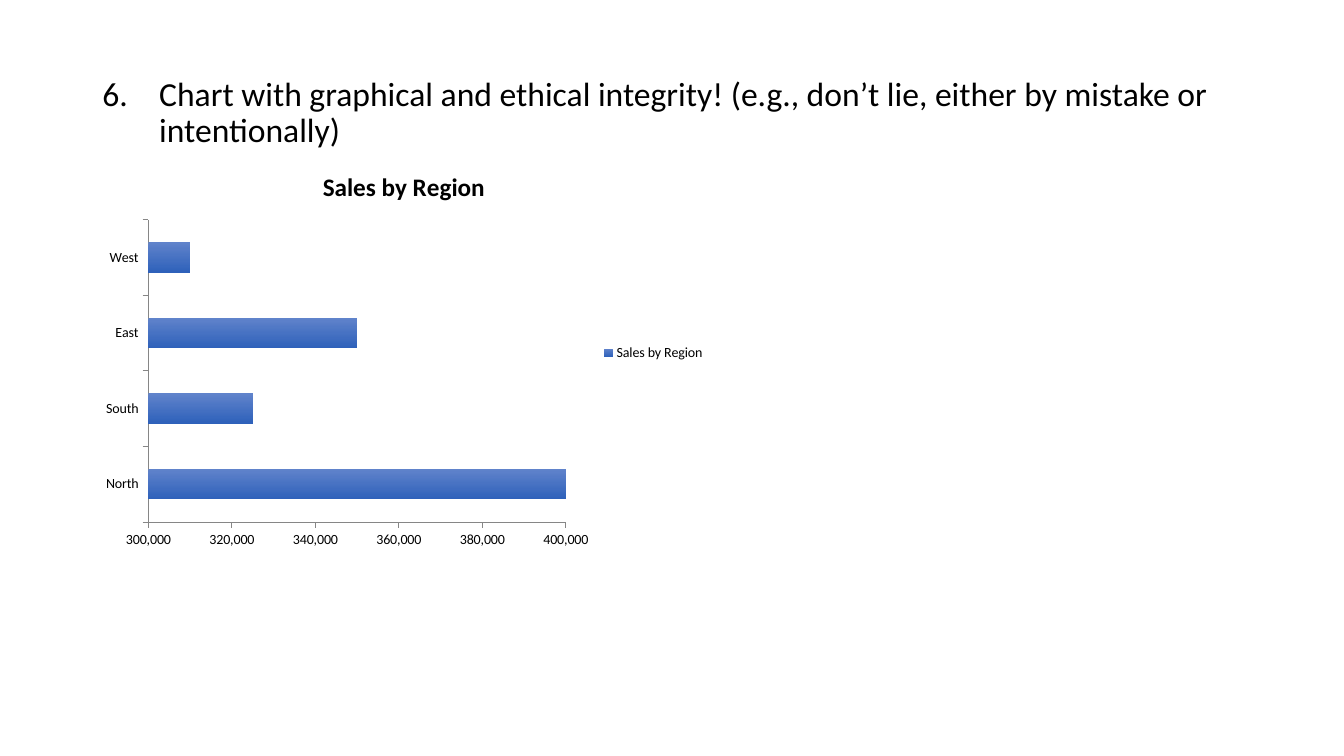
from dataclasses import dataclass

from lxml.etree import SubElement
from pptx import Presentation
from pptx.chart.chart import Chart
from pptx.chart.data import CategoryChartData
from pptx.dml.color import RGBColor
from pptx.enum.chart import XL_CHART_TYPE as ChartType
from pptx.enum.chart import XL_LEGEND_POSITION as LegendPos
from pptx.enum.chart import XL_TICK_MARK as Tick
from pptx.enum.text import MSO_ANCHOR as Anchor
from pptx.enum.text import PP_ALIGN as Align
from pptx.oxml.ns import qn
from pptx.util import Pt


@dataclass(frozen=True)
class Theme:
    font: str = "Calibri"
    text: RGBColor = RGBColor(0x00, 0x00, 0x00)
    axis: RGBColor = RGBColor(0x86, 0x86, 0x86)
    bar_top: RGBColor = RGBColor(0x60, 0x83, 0xCB)
    bar_bottom: RGBColor = RGBColor(0x2E, 0x61, 0xBA)
    heading_size: float = 24
    chart_title_size: float = 18
    label_size: float = 10


@dataclass(frozen=True)
class Box:
    left: float
    top: float
    width: float
    height: float

    def lengths(self) -> tuple[Pt, Pt, Pt, Pt]:
        return Pt(self.left), Pt(self.top), Pt(self.width), Pt(self.height)


@dataclass(frozen=True)
class Sale:
    region: str
    amount: int


THEME = Theme()
HEADING_BOX = Box(66, 28.75, 828, 104.4)
CHART_BOX = Box(66, 108, 445, 288)
PLOT_SHARE = Box(0.09, 0.17, 0.67, 0.75)  # fractions of the chart area
HEADING = ("Chart with graphical and ethical integrity! "
           "(e.g., don’t lie, either by mistake or intentionally)")
HEADING_NUMBER = 6
CHART_TITLE = "Sales by Region"
SALES = [Sale("North", 400000), Sale("South", 325000),
         Sale("East", 350000), Sale("West", 310000)]


def style_font(font, size: float, bold: bool = False) -> None:
    font.name = THEME.font
    font.size = Pt(size)
    font.bold = bold
    font.color.rgb = THEME.text


def add_heading(s) -> None:
    title = s.shapes.title
    title.left, title.top, title.width, title.height = HEADING_BOX.lengths()
    tf = title.text_frame
    tf.text = HEADING
    tf.word_wrap = True
    tf.vertical_anchor = Anchor.MIDDLE
    p = tf.paragraphs[0]
    # Numbered paragraph with a hanging indent
    pPr = p._p.get_or_add_pPr()
    pPr.set("marL", str(Pt(40.5)))
    pPr.set("indent", str(Pt(-40.5)))
    SubElement(pPr, qn("a:buFont"), typeface=THEME.font)
    SubElement(pPr, qn("a:buAutoNum"), type="arabicPeriod",
               startAt=str(HEADING_NUMBER))
    p.alignment = Align.LEFT
    p.line_spacing = 0.9
    style_font(p.runs[0].font, THEME.heading_size)


def place_plot(chart: Chart, share: Box) -> None:
    plot_area = chart._chartSpace.chart.plotArea
    layout = plot_area.find(qn("c:layout"))
    if layout is None:
        layout = SubElement(plot_area, qn("c:layout"))
        plot_area.insert(0, layout)
    manual = SubElement(layout, qn("c:manualLayout"))
    for tag, val in (("layoutTarget", "inner"), ("xMode", "edge"),
                     ("yMode", "edge"), ("x", share.left), ("y", share.top),
                     ("w", share.width), ("h", share.height)):
        SubElement(manual, qn(f"c:{tag}"), val=str(val))


def style_axes(chart: Chart) -> None:
    for axis in (chart.category_axis, chart.value_axis):
        axis.has_major_gridlines = False
        axis.major_tick_mark = Tick.OUTSIDE
        axis.minor_tick_mark = Tick.NONE
        axis.format.line.color.rgb = THEME.axis
        axis.format.line.width = Pt(0.75)
        style_font(axis.tick_labels.font, THEME.label_size)
    values = chart.value_axis
    values.minimum_scale, values.maximum_scale = 300000, 400000
    values.major_unit = 20000
    values.tick_labels.number_format = "#,##0"
    values.tick_labels.number_format_is_linked = False


def add_sales_chart(s) -> None:
    data = CategoryChartData(number_format="#,##0")
    data.categories = [sale.region for sale in SALES]
    data.add_series(CHART_TITLE, [sale.amount for sale in SALES])
    chart = s.shapes.add_chart(ChartType.BAR_CLUSTERED,
                               *CHART_BOX.lengths(), data).chart
    style_font(chart.font, THEME.label_size)

    # Title and legend
    chart.has_title = True
    tf = chart.chart_title.text_frame
    tf.text = CHART_TITLE
    style_font(tf.paragraphs[0].runs[0].font, THEME.chart_title_size, bold=True)
    chart.chart_title.include_in_layout = False
    chart.has_legend = True
    chart.legend.position = LegendPos.RIGHT
    chart.legend.include_in_layout = False
    style_font(chart.legend.font, THEME.label_size)

    # Bars shaded from top to bottom
    plot = chart.plots[0]
    plot.gap_width = 150
    plot.vary_by_categories = False
    fill = plot.series[0].format.fill
    fill.gradient()
    fill.gradient_angle = 270
    for stop, color in zip(fill.gradient_stops,
                           (THEME.bar_top, THEME.bar_bottom)):
        stop.color.rgb = color

    style_axes(chart)
    place_plot(chart, PLOT_SHARE)


def main() -> None:
    prs = Presentation()
    prs.slide_width, prs.slide_height = Pt(960), Pt(540)
    s = prs.slides.add_slide(prs.slide_layouts[5])
    add_heading(s)
    add_sales_chart(s)
    prs.save("out.pptx")


if __name__ == "__main__":
    main()
